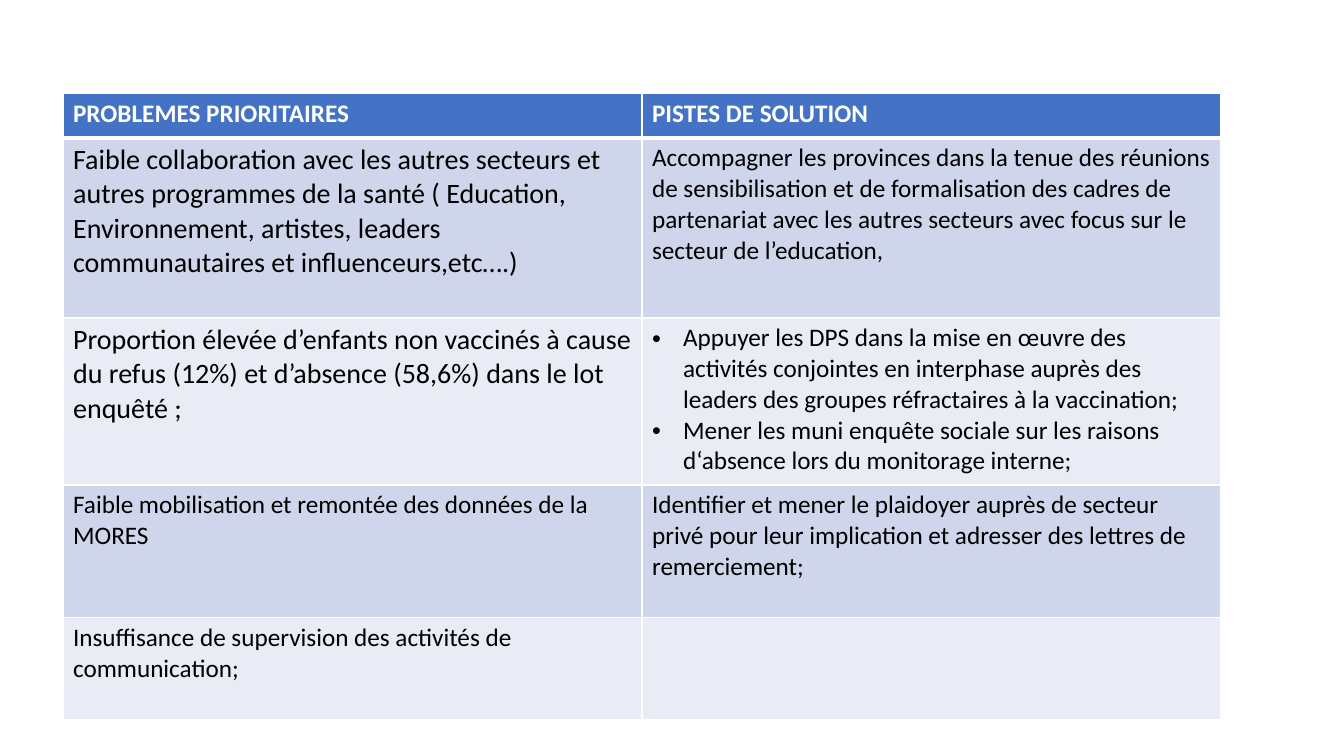
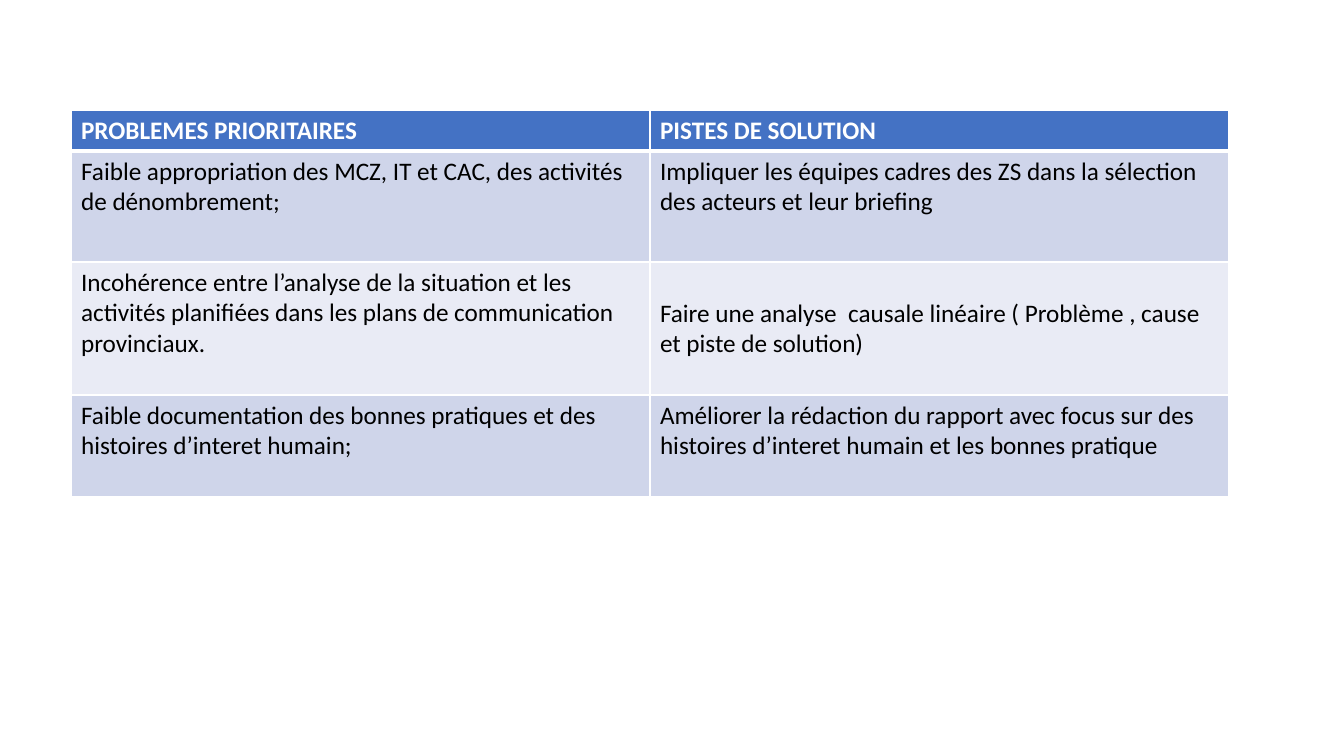
from lxml import etree
from pptx import Presentation, util as u
from pptx.dml.color import RGBColor
from pptx.oxml import ns

SCALE = 12192000 / 1344  # EMU in one px
INK = {"head": "4472C4", "odd": "CFD5EA", "even": "E9EBF5",
       "white": "FFFFFF", "black": "000000"}
FONT = {"name": "Calibri", "size": u.Pt(18), "bold": False}
HEAD = ("PROBLEMES PRIORITAIRES", "PISTES DE SOLUTION")
COL = 579
LINE = 31  # height of one line of body text


def px(n):
    return u.Emu(round(n * SCALE))


def rgb(key):
    return RGBColor.from_string(INK[key])


class Deck:
    def __init__(self):
        self.prs = Presentation()
        self.prs.slide_width, self.prs.slide_height = px(1344), px(756)
        self.slide = None

    def page(self):
        self.slide = self.prs.slides.add_slide(self.prs.slide_layouts[6])

    def table(self, left, top, rows):
        """Each row is a height and two cells, under the shared header."""
        high = [row[0] for row in rows]
        grid = self.slide.shapes.add_table(
            len(rows), 2, px(left), px(top), px(2 * COL), px(sum(high))).table
        for col in grid.columns:
            col.width = px(COL)
        for i, (tall, *cells) in enumerate(rows):
            grid.rows[i].height = px(tall)
            for j, item in enumerate(cells):
                self.cell(grid.cell(i, j), i, item)

    def cell(self, cell, row, item):
        """Item is a text, or a dict with text, size, skip and list."""
        item = item if isinstance(item, dict) else {"text": item}
        self.edges(cell, row)
        cell.fill.solid()
        cell.fill.fore_color.rgb = rgb(
            "head" if row == 0 else "odd" if row % 2 else "even")
        if "skip" in item:
            cell.margin_top = u.Emu(cell.margin_top + px(item["skip"]))
        form = dict(FONT, size=u.Pt(item.get("size", 18)), bold=row == 0)
        frame = cell.text_frame
        for k, line in enumerate(item.get("list", [item.get("text", "")])):
            para = frame.add_paragraph() if k else frame.paragraphs[0]
            if "list" in item:
                self.bullet(para)
            if not line:
                continue
            run = para.add_run()
            run.text = line
            for name, val in form.items():
                setattr(run.font, name, val)
            run.font.color.rgb = rgb("black" if row else "white")

    def bullet(self, para):
        props = para._p.get_or_add_pPr()
        props.set("marL", str(px(LINE)))
        props.set("indent", str(-px(LINE)))
        etree.SubElement(props, ns.qn("a:buFont"), typeface="Arial")
        etree.SubElement(props, ns.qn("a:buChar"), char="•")

    def edges(self, cell, row):
        """White rules, thicker between the header and the body."""
        props = cell._tc.get_or_add_tcPr()
        thick = {(0, "B"), (1, "T")}
        for side in "LRTB":
            wide = u.Pt(3 if (row, side) in thick else 1)
            line = etree.SubElement(props, ns.qn("a:ln" + side), w=str(wide))
            fill = etree.SubElement(line, ns.qn("a:solidFill"))
            etree.SubElement(fill, ns.qn("a:srgbClr"), val=INK["white"])


def main():
    deck = Deck()

    # Slide 1: partners, refusals, data and supervision
    deck.page()
    deck.table(63, 93, [
        (45, *HEAD),
        (180,
         {"text": "Faible collaboration avec les autres secteurs et autres "
                  "programmes de la santé ( Education, Environnement, "
                  "artistes, leaders communautaires et influenceurs,etc….)",
          "size": 20},
         "Accompagner les provinces dans la tenue des réunions de "
         "sensibilisation et de formalisation des cadres de partenariat avec "
         "les autres secteurs avec focus sur le secteur de l’education,"),
        (167,
         {"text": "Proportion élevée d’enfants non vaccinés à cause du refus "
                  "(12%) et d’absence (58,6%) dans le lot enquêté ;",
          "size": 20},
         {"list": ["Appuyer les DPS dans la mise en œuvre des activités "
                   "conjointes en interphase auprès des leaders des groupes "
                   "réfractaires à la vaccination;",
                   "Mener les muni enquête sociale sur les raisons d‘absence "
                   "lors du monitorage interne;"]}),
        (133,
         "Faible mobilisation et remontée des données de la MORES",
         "Identifier et mener le plaidoyer auprès de secteur privé pour leur "
         "implication et adresser des lettres de remerciement;"),
        (102,
         "Insuffisance de supervision des activités de communication;", ""),
    ])

    # Slide 2: ownership, planning and documentation
    deck.page()
    deck.table(71, 110, [
        (41, *HEAD),
        (111,
         "Faible appropriation des MCZ, IT et CAC, des activités de "
         "dénombrement;",
         "Impliquer les équipes cadres des ZS dans la sélection des acteurs "
         "et leur briefing"),
        (133,
         "Incohérence entre l’analyse de la situation et les activités "
         "planifiées dans les plans de communication provinciaux.",
         {"text": "Faire une analyse  causale linéaire ( Problème , cause et "
                  "piste de solution)", "skip": LINE}),
        (102,
         "Faible documentation des bonnes pratiques et des histoires "
         "d’interet humain;",
         "Améliorer la rédaction du rapport avec focus sur des histoires "
         "d’interet humain et les bonnes pratique"),
    ])

    deck.prs.save("out.pptx")


if __name__ == "__main__":
    main()
